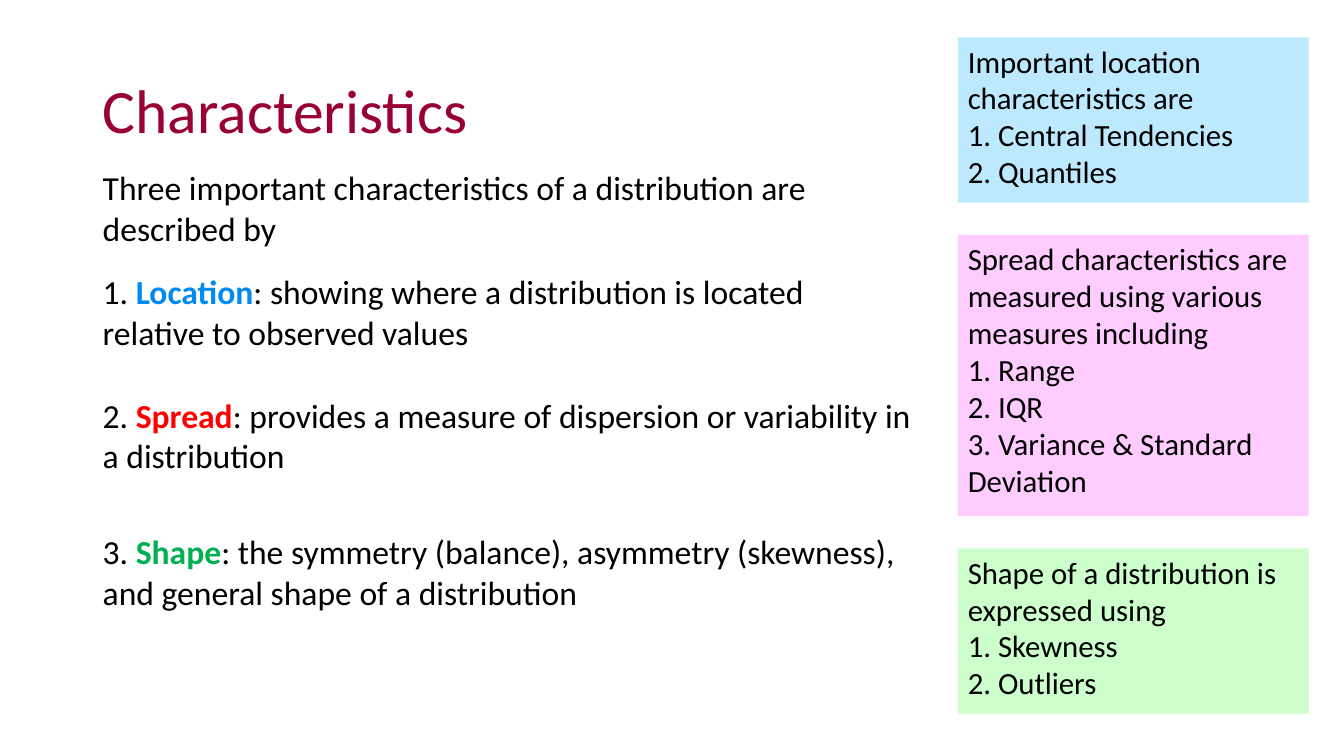
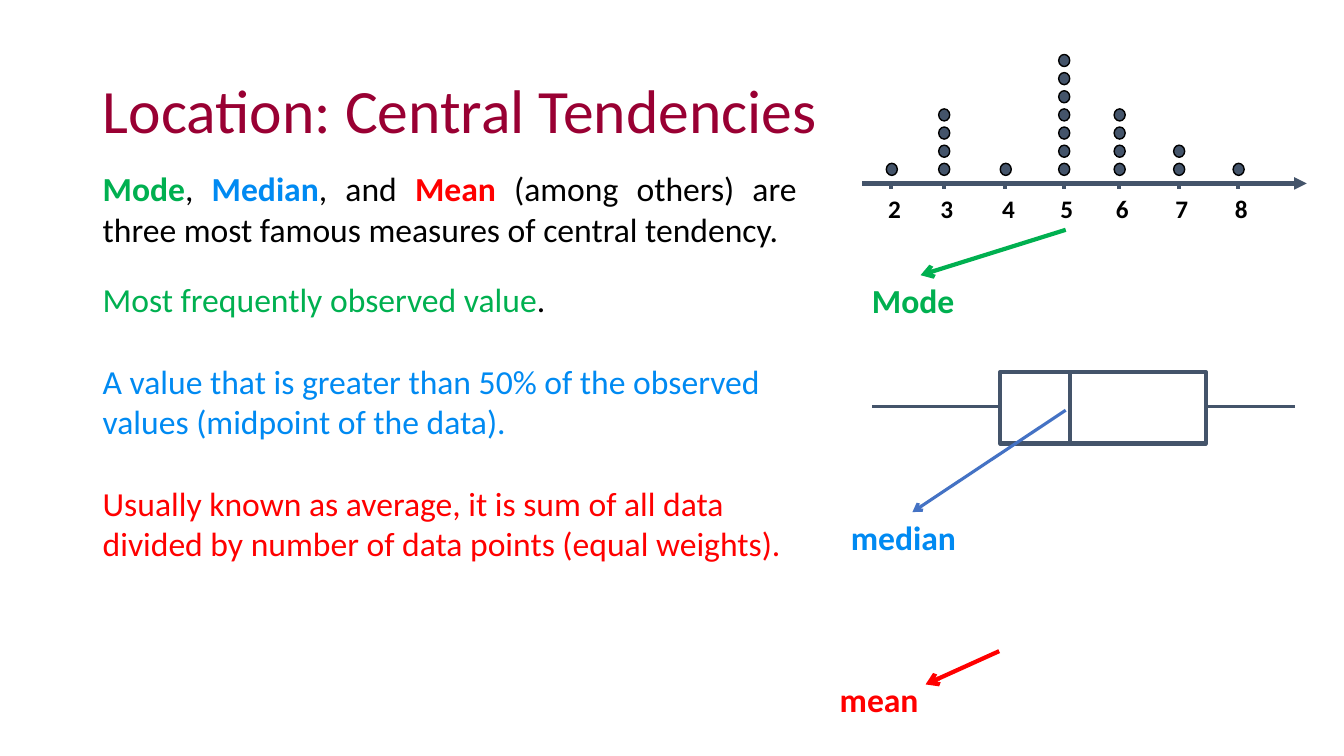
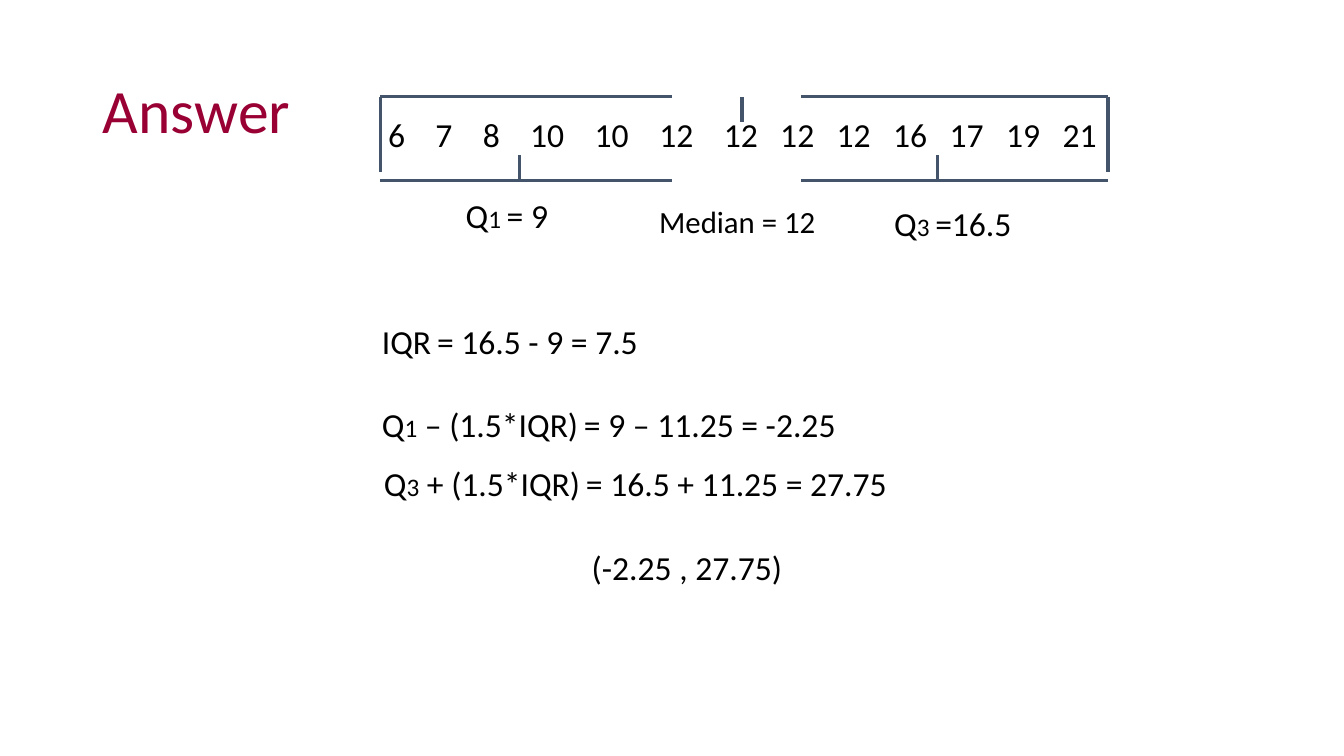
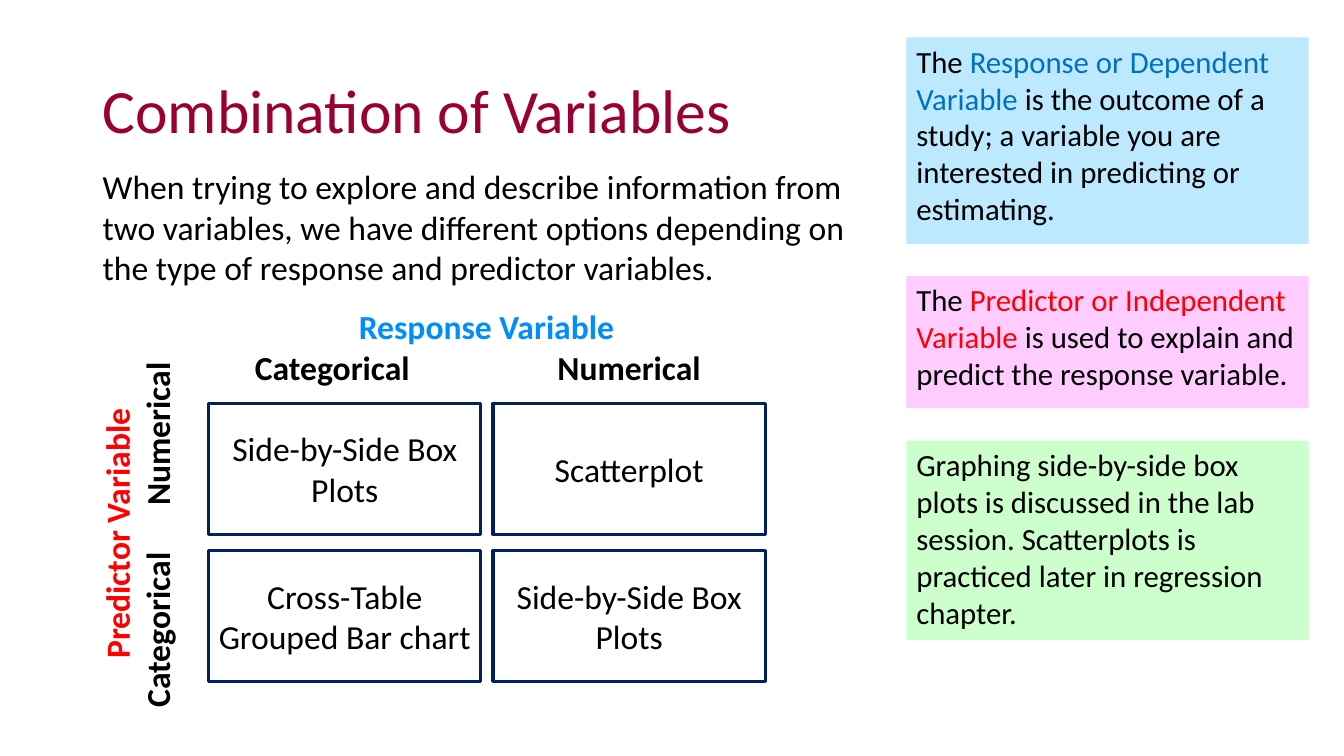
"""Build four slides on describing distributions and combining variables."""
from itertools import accumulate

from lxml import etree
from pptx import Presentation
from pptx import util as u
from pptx.dml.color import RGBColor
from pptx.enum import dml, shapes, text
from pptx.oxml import ns

BLACK = RGBColor(0x00, 0x00, 0x00)
WHITE = RGBColor(0xFF, 0xFF, 0xFF)
MAROON = RGBColor(0x99, 0x00, 0x33)
SLATE = RGBColor(0x44, 0x54, 0x6A)
NAVY = RGBColor(0x00, 0x20, 0x60)
BLUE = RGBColor(0x00, 0x8A, 0xF2)
BRIGHT_BLUE = RGBColor(0x00, 0x8F, 0xFA)
DEEP_BLUE = RGBColor(0x00, 0x70, 0xC0)
ARROW_BLUE = RGBColor(0x44, 0x72, 0xC4)
GREEN = RGBColor(0x00, 0xB0, 0x50)
RED = RGBColor(0xFF, 0x00, 0x00)
NOTE_FILLS = (RGBColor(0xBD, 0xE9, 0xFF), RGBColor(0xFF, 0xCC, 0xFF),
              RGBColor(0xCC, 0xFF, 0xCC))

LEFT, CENTER, JUSTIFY = (text.PP_ALIGN.LEFT, text.PP_ALIGN.CENTER,
                         text.PP_ALIGN.JUSTIFY)
TOP, MIDDLE = text.MSO_ANCHOR.TOP, text.MSO_ANCHOR.MIDDLE
RECTANGLE, OVAL = shapes.MSO_SHAPE.RECTANGLE, shapes.MSO_SHAPE.OVAL
MARGIN = 0.92
NOTE_TOP, NOTE_GAP = 0.37, 0.32


class Deck:
    def __init__(self):
        self.presentation = Presentation()
        self.presentation.slide_width = u.Inches(13.33)
        self.presentation.slide_height = u.Inches(7.5)
        self.slide = None

    def add_slide(self, title, width):
        layout = self.presentation.slide_layouts[6]
        self.slide = self.presentation.slides.add_slide(layout)
        box = self.text(MARGIN, 0.4, width, 1.45, [title], size=44,
                        color=MAROON, anchor=MIDDLE)
        box.text_frame.paragraphs[0].line_spacing = 0.9

    def fill_text(self, shape, paragraphs, size=24, color=BLACK, bold=False,
                  align=LEFT, anchor=TOP, wrap=True):
        frame = shape.text_frame
        frame.word_wrap = wrap
        frame.vertical_anchor = anchor
        for index, parts in enumerate(paragraphs):
            paragraph = frame.add_paragraph() if index else frame.paragraphs[0]
            paragraph.alignment = align
            for part in [parts] if isinstance(parts, str) else parts:
                words, style = (part, {}) if isinstance(part, str) else part
                run = paragraph.add_run()
                run.text = words
                run.font.name = "Calibri"
                run.font.size = u.Pt(style.get("size", size))
                run.font.bold = style.get("bold", bold)
                run.font.color.rgb = style.get("color", color)

    def text(self, left, top, width, height, paragraphs, **style):
        box = self.slide.shapes.add_textbox(
            u.Inches(left), u.Inches(top), u.Inches(width), u.Inches(height))
        self.fill_text(box, paragraphs, **style)
        return box

    def shape(self, kind, left, top, width, height, fill=None, line=None,
              weight=1):
        shape = self.slide.shapes.add_shape(
            kind, u.Inches(left), u.Inches(top), u.Inches(width), u.Inches(height))
        shape.shadow.inherit = False
        for paint, color in ((shape.fill, fill), (shape.line.fill, line)):
            if color is None:
                paint.background()
            else:
                paint.solid()
                paint.fore_color.rgb = color
        if line is not None:
            shape.line.width = u.Pt(weight)
        return shape

    def line(self, x1, y1, x2, y2, color=SLATE, weight=2.25, arrow=None,
             dash=None):
        connector = self.slide.shapes.add_connector(
            shapes.MSO_CONNECTOR.STRAIGHT,
            u.Inches(x1), u.Inches(y1), u.Inches(x2), u.Inches(y2))
        connector.line.color.rgb = color
        connector.line.width = u.Pt(weight)
        if dash:
            connector.line.dash_style = dash
        properties = connector._element.spPr
        if arrow:
            outline = properties.find(ns.qn("a:ln"))
            etree.SubElement(outline, ns.qn("a:tailEnd"), type=arrow)
        etree.SubElement(properties, ns.qn("a:effectLst"))

    def notes(self, left, width, notes):
        top = NOTE_TOP
        for fill, (height, paragraphs) in zip(NOTE_FILLS, notes):
            note = self.shape(RECTANGLE, left, top, width, height, fill=fill)
            self.fill_text(note, paragraphs, size=22)
            top += height + NOTE_GAP

    def tab_stops(self, paragraph, positions):
        properties = paragraph._p.get_or_add_pPr()
        stops = etree.SubElement(properties, ns.qn("a:tabLst"))
        for position in positions:
            etree.SubElement(stops, ns.qn("a:tab"), algn="l",
                             pos=str(int(u.Inches(position))))


def key(words, color):
    return words, {"color": color, "bold": True}


def tint(words, color):
    return words, {"color": color}


def small(words):
    return words, {"size": 18}


def characteristics(deck):
    deck.add_slide("Characteristics", 5.75)
    points = (
        (1.61, ["Three important characteristics of a distribution are described by"]),
        (2.64, ["1. ", key("Location", BLUE),
                ": showing where a distribution is located relative to observed values"]),
        (3.87, ["2. ", key("Spread", RED),
                ": provides a measure of dispersion or variability in a distribution"]),
        (5.22, ["3. ", key("Shape", GREEN),
                ": the symmetry (balance), asymmetry (skewness), "
                "and general shape of a distribution"]),
    )
    for top, parts in points:
        deck.text(MARGIN, top, 8.22, 0.91, [parts])
    deck.notes(9.5, 3.48, (
        (1.64, ["Important location characteristics are",
                "1. Central Tendencies", "2. Quantiles"]),
        (2.79, ["Spread characteristics are measured using various measures including",
                "1. Range", "2. IQR", "3. Variance & Standard Deviation"]),
        (1.64, ["Shape of a distribution is expressed using",
                "1. Skewness", "2. Outliers"]),
    ))


def dot_plot(deck):
    axis = 1.82
    deck.line(8.55, axis, 12.96, axis, weight=3, arrow="triangle")
    columns = ((2, 8.84, 1), (3, 9.36, 4), (4, 9.97, 1), (5, 10.55, 7),
               (6, 11.1, 4), (7, 11.69, 2), (8, 12.28, 1))
    for value, x, count in columns:
        deck.line(x, axis, x, axis + 0.06, weight=3,
                  dash=dml.MSO_LINE.DASH)
        deck.text(x - 0.13, 1.87, 0.34, 0.4, [str(value)], size=18, bold=True,
                  wrap=False)
        for level in range(count):
            deck.shape(OVAL, x - 0.05, 1.62 - 0.18 * level, 0.11, 0.12,
                       fill=SLATE, line=BLACK)


def box_plot(deck):
    top, height, middle = 3.69, 0.71, 4.03
    deck.shape(RECTANGLE, 9.92, top, 2.04, height, fill=WHITE, line=SLATE, weight=3)
    deck.line(10.61, top, 10.61, top + height, weight=3)
    deck.line(8.65, middle, 9.92, middle)
    deck.line(11.96, middle, 12.84, middle)


def central_tendencies(deck):
    deck.add_slide("Location: Central Tendencies", 8.39)
    deck.text(MARGIN, 1.62, 7.08, 0.91, [[
        key("Mode", GREEN), ", ", key("Median", BLUE), ", and ", key("Mean", RED),
        " (among others) are three most famous measures of central tendency.",
    ]], align=JUSTIFY)
    definitions = (
        (2.72, 0.5, [tint("Most frequently observed value", GREEN), "."]),
        (3.53, 0.91, [tint("A value that is greater than 50% of the observed values "
                           "(midpoint of the data).", BLUE)]),
        (4.74, 0.91, [tint("Usually known as average, it is sum of all data divided by "
                           "number of data points (equal weights).", RED)]),
    )
    for top, height, parts in definitions:
        deck.text(MARGIN, top, 7.08, height, [parts])
    dot_plot(deck)
    box_plot(deck)
    callouts = (
        ("Mode", GREEN, (8.55, 2.73, 1.16), GREEN, 3, (10.57, 2.28, 9.13, 2.73)),
        ("median", BLUE, (8.34, 5.08, 1.44), ARROW_BLUE, 2.25, (10.57, 4.07, 9.05, 5.08)),
        ("mean", RED, (8.23, 6.69, 1.06), RED, 3, (9.91, 6.46, 9.18, 6.79)),
    )
    for words, color, place, arrow_color, weight, ends in callouts:
        deck.text(*place, 0.5, [words], color=color, bold=True)
        deck.line(*ends, color=arrow_color, weight=weight, arrow="arrow")


def answer(deck):
    deck.add_slide("Answer", 7.96)
    values = (6, 7, 8, 10, 10, 12, 12, 12, 12, 16, 17, 19, 21)
    gaps = [0.47] * 3 + [0.64] * 3 + [0.56] * 6
    row = deck.text(3.75, 1.08, 8.92, 0.5, ["\t".join(map(str, values))])
    deck.tab_stops(row.text_frame.paragraphs[0], accumulate(gaps))

    top, bottom = 0.96, 1.79
    for outer, inner, quartile in ((3.77, 6.67, 5.15), (10.99, 7.94, 9.3)):
        deck.line(outer, top, inner, top)
        deck.line(outer, top, outer, 1.71)
        deck.line(outer, bottom, inner, bottom)
        deck.line(quartile, 1.54, quartile, bottom)
    deck.line(7.36, top, 7.36, 1.21)

    deck.text(6.44, 1.96, 1.77, 0.47, ["Median = 12"], size=22, wrap=False)
    results = (
        (4.52, 1.88, 1.19, ["Q", small("1 "), "= 9"]),
        (8.77, 1.96, 1.75, ["Q", small("3 "), "=16.5"]),
        (3.69, 3.13, 2.76, ["IQR", small(" "), "= 16.5 - 9 = 7.5"]),
        (3.69, 3.96, 4.74, ["Q", small("1"), " – (1.5*IQR)", small(" "),
                            "= 9 – 11.25 = -2.25"]),
        (3.71, 4.54, 5.23, ["Q", small("3"), " + (1.5*IQR)", small(" "),
                            "= 16.5 + 11.25 = 27.75"]),
        (5.77, 5.38, 2.18, ["(-2.25 , 27.75)"]),
    )
    for left, y, width, parts in results:
        deck.text(left, y, width, 0.5, [parts])


def combination(deck):
    deck.add_slide("Combination of Variables", 6.68)
    deck.text(MARGIN, 1.6, 7.78, 1.31, [
        "When trying to explore and describe information from two variables, we have "
        "different options depending on the type of response and predictor variables."])
    headings = (
        ("Response Variable", BRIGHT_BLUE, (2.43, 2.99, 4.79), 3, 0),
        ("Predictor Variable", RED, (-0.46, 4.84, 3.64), 2, 270),
    )
    for words, color, place, stop, rotation in headings:
        box = deck.text(*place, 0.91, [[tint(words, color)], "Categorical\tNumerical"],
                        bold=True)
        box.rotation = rotation
        heading, categories = box.text_frame.paragraphs
        heading.alignment = CENTER
        deck.tab_stops(categories, [stop])
    matrix = (
        (["Side-by-Side Box Plots"], ["Scatterplot"]),
        (["Cross-Table", "Grouped Bar chart"], ["Side-by-Side Box Plots"]),
    )
    for row, cells in enumerate(matrix):
        for column, paragraphs in enumerate(cells):
            cell = deck.shape(RECTANGLE, 2.07 + 2.82 * column, 4 + 1.46 * row, 2.7, 1.3,
                              line=NAVY, weight=2.25)
            deck.fill_text(cell, paragraphs, align=CENTER, anchor=MIDDLE)
    deck.notes(8.99, 3.99, (
        (2.05, [["The ", tint("Response or Dependent Variable ", DEEP_BLUE),
                 "is the outcome of a study; a variable you are interested in "
                 "predicting or estimating."]]),
        (1.31, [["The ", tint("Predictor or Independent Variable", RED),
                 " is used to explain and predict the response variable."]]),
        (1.98, ["Graphing side-by-side box plots is discussed in the lab session. "
                "Scatterplots is practiced later in regression chapter."]),
    ))


def main():
    deck = Deck()
    for build in (characteristics, central_tendencies, answer, combination):
        build(deck)
    deck.presentation.save("out.pptx")


if __name__ == "__main__":
    main()
